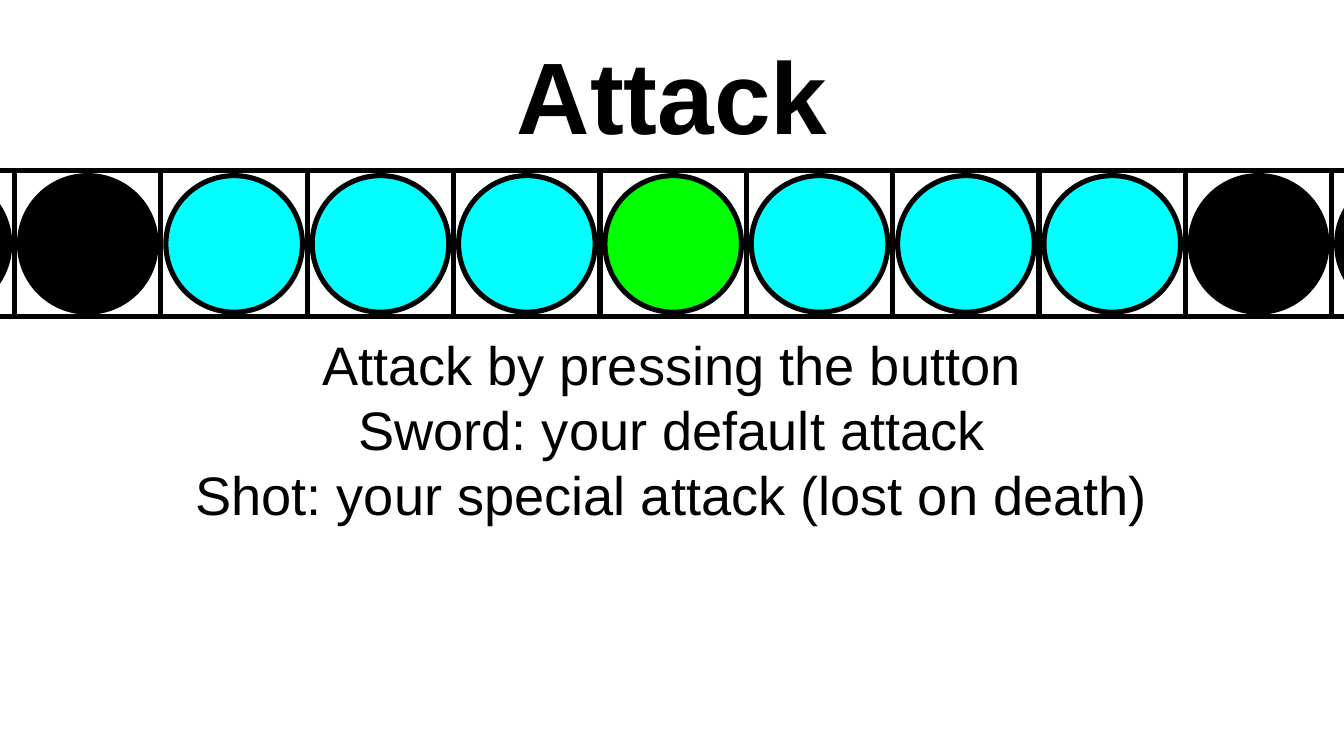
from pptx import Presentation
from pptx import util as u
from pptx.dml.color import RGBColor
from pptx.enum import shapes, text

BLACK, WHITE, CYAN, GREEN = "000000", "FFFFFF", "00FFFF", "00FF00"
CELL, GAP = 1.2, 0.04
LEFT, TOP = -1.08, 1.4
DISCS = [BLACK] * 2 + [CYAN] * 3 + [GREEN] + [CYAN] * 3 + [BLACK] * 2


def color(code):
    return RGBColor.from_string(code)


def add_text(slide, lines, box, size, bold=False, inset=0):
    """Centred text, one paragraph per line; inset is the top margin."""
    frame = slide.shapes.add_textbox(*map(u.Inches, box)).text_frame
    frame.word_wrap = True
    frame.vertical_anchor = text.MSO_ANCHOR.MIDDLE
    frame.margin_left = frame.margin_right = frame.margin_bottom = 0
    frame.margin_top = u.Inches(inset)
    for i, line in enumerate(lines):
        para = frame.add_paragraph() if i else frame.paragraphs[0]
        para.alignment = text.PP_ALIGN.CENTER
        run = para.add_run()
        run.text = line
        font = run.font
        font.name, font.size, font.bold = "Arial", u.Pt(size), bold
        font.color.rgb = color(BLACK)


def add_form(slide, kind, left, top, side, fill):
    form = slide.shapes.add_shape(
        kind, *map(u.Inches, (left, top, side, side)))
    form.shadow.inherit = False
    form.fill.solid()
    form.fill.fore_color.rgb = color(fill)
    form.line.color.rgb = color(BLACK)
    form.line.width = u.Pt(3)


def add_cell(slide, left, top, fill):
    """A white square with a disc inside it."""
    kinds = shapes.MSO_SHAPE
    add_form(slide, kinds.RECTANGLE, left, top, CELL, WHITE)
    add_form(slide, kinds.OVAL, left + GAP, top + GAP, CELL - 2 * GAP, fill)


def main():
    deck = Presentation()
    deck.slide_width, deck.slide_height = u.Inches(11.02), u.Inches(6.2)
    slide = deck.slides.add_slide(deck.slide_layouts[6])

    # Title and rules
    add_text(slide, ["Attack"], (0.55, 0.25, 9.92, 1.04), 60, bold=True)
    rules = ["Attack by pressing the button",
             "Sword: your default attack",
             "Shot: your special attack (lost on death)"]
    add_text(slide, rules, (0.55, 1.45, 9.92, 3.6), 32, inset=0.53)

    # Strip of cells, running past both slide edges
    for i, fill in enumerate(DISCS):
        add_cell(slide, LEFT + i * CELL, TOP, fill)

    deck.save("out.pptx")


if __name__ == "__main__":
    main()
